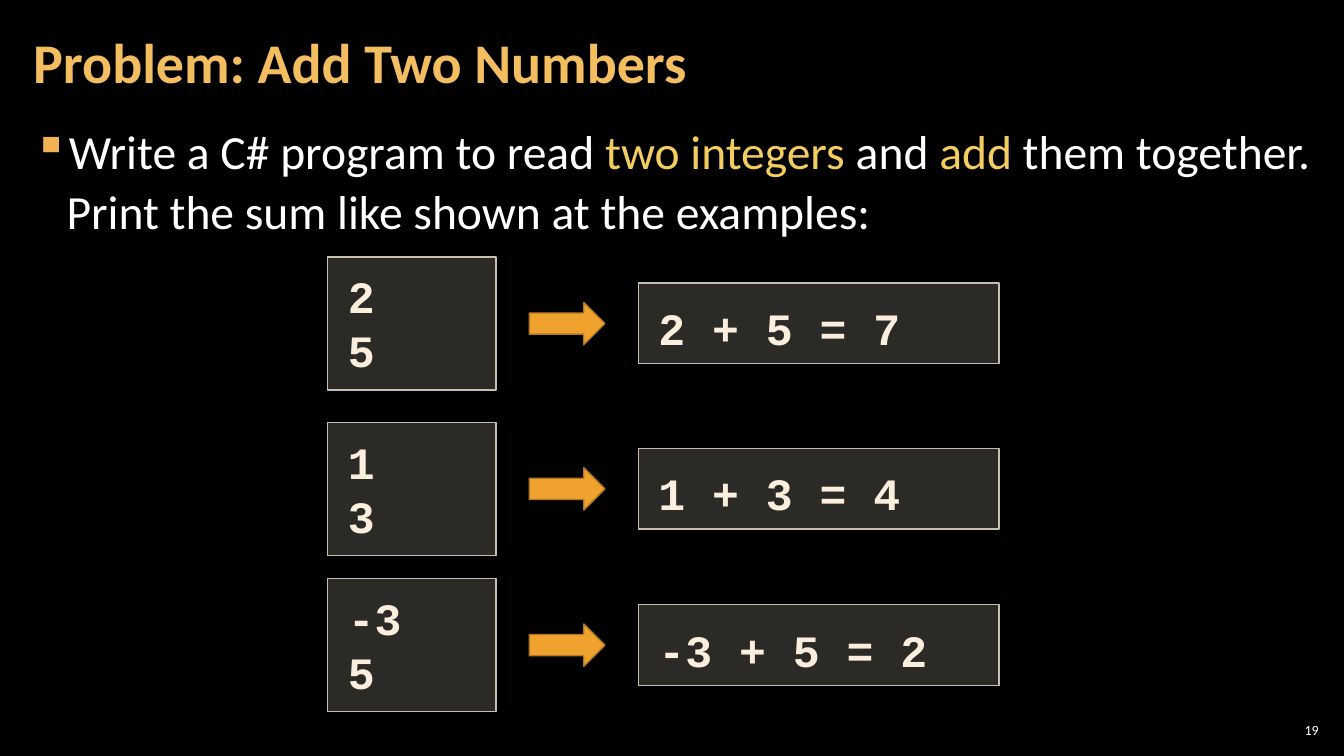
from lxml import etree
from pptx import Presentation
from pptx import util as u
from pptx.dml.color import RGBColor
from pptx.enum import shapes, text
from pptx.oxml.ns import qn

EMU_PER_PX = 9144  # 100 px to the inch


def px(n):
    return u.Emu(n * EMU_PER_PX)


def rgb(value):
    return RGBColor.from_string(value)


def sub(parent, tag, **attrs):
    return etree.SubElement(parent, qn(tag), attrs)


class Deck:
    SANS, MONO = "Calibri", "Courier New"
    WHITE, TITLE, ACCENT, BULLET = "FFFFFF", "F3BE60", "F3CD60", "F2B254"
    CODE, PANEL, PANEL_LINE = "FBEEDC", "D9D5C7", "C7BFAC"
    ARROW, ARROW_LINE = "F0A22E", "B27822"

    def __init__(self, width, height):
        self.prs = Presentation()
        self.prs.slide_width, self.prs.slide_height = px(width), px(height)
        self.s = self.prs.slides.add_slide(self.prs.slide_layouts[6])
        fill = self.s.background.fill
        fill.solid()
        fill.fore_color.rgb = rgb("000000")

    def frame(self, sp, paragraphs, size, font, inset, bold=False, frame_format=None, **fmt):
        """Fill a shape with paragraphs, each a list of (words, colour) runs."""
        tf = sp.text_frame
        across, down = inset
        settings = {"word_wrap": True, "margin_left": px(across), "margin_right": px(across),
                    "margin_top": px(down), "margin_bottom": px(down), **(frame_format or {})}
        for name, value in settings.items():
            setattr(tf, name, value)
        for i, runs in enumerate(paragraphs):
            p = tf.paragraphs[0] if i == 0 else tf.add_paragraph()
            for name, value in {"alignment": text.PP_ALIGN.LEFT, **fmt}.items():
                setattr(p, name, value)
            for words, color in runs:
                r = p.add_run()
                r.text = words
                for name, value in {"size": u.Pt(size), "name": font, "bold": bold}.items():
                    setattr(r.font, name, value)
                r.font.color.rgb = rgb(color)
        return tf

    def label(self, box, paragraphs, size, inset, anchor=text.MSO_ANCHOR.MIDDLE, **fmt):
        sp = self.s.shapes.add_textbox(*map(px, box))
        return self.frame(sp, paragraphs, size, self.SANS, inset,
                          frame_format={"vertical_anchor": anchor}, **fmt)

    def bullet(self, p, char, color, indent):
        pPr = p._p.get_or_add_pPr()
        pPr.set("marL", str(px(indent)))
        pPr.set("indent", str(-px(indent)))
        sub(sub(pPr, "a:buClr"), "a:srgbClr", val=color)
        sub(pPr, "a:buChar", char=char)

    def shape(self, kind, box, fill, line):
        sp = self.s.shapes.add_shape(kind, *map(px, box))
        sp.shadow.inherit = False
        sp.fill.solid()
        sp.fill.fore_color.rgb = rgb(fill)
        sp.line.color.rgb = rgb(line)
        sp.line.width = u.Pt(1)
        return sp

    def panel(self, box, lines, spacing=1.0):
        """Translucent box with lines of code."""
        sp = self.shape(shapes.MSO_SHAPE.RECTANGLE, box, self.PANEL, self.PANEL_LINE)
        color = sp._element.spPr.find(qn("a:solidFill")).find(qn("a:srgbClr"))
        sub(color, "a:alpha", val="20000")
        self.frame(sp, [[(line, self.CODE)] for line in lines], 32, self.MONO, (20, 12),
                   bold=True, line_spacing=spacing,
                   frame_format={"vertical_anchor": text.MSO_ANCHOR.TOP,
                                 "auto_size": text.MSO_AUTO_SIZE.SHAPE_TO_FIT_TEXT})

    def arrow(self, box):
        self.shape(shapes.MSO_SHAPE.RIGHT_ARROW, box, self.ARROW, self.ARROW_LINE)

    def example(self, top, inputs, result):
        """Input panel, arrow and output panel, centred on one row."""
        row_height = 132
        for left, width, height, draw in (
            (325, 167, row_height, lambda box: self.panel(box, inputs)),
            (633, 358, 80, lambda box: self.panel(box, [result], 1.1)),
            (525, 75, 42, self.arrow),
        ):
            draw((left, top + (row_height - height) // 2, width, height))


def main():
    d = Deck(1333, 750)
    d.label((1265, 714, 47, 21), [[("19", d.WHITE)]], 10, (4, 4),
            alignment=text.PP_ALIGN.RIGHT)
    task = [("Write a C# program to read ", d.WHITE), ("two integers", d.ACCENT),
            (" and ", d.WHITE), ("add", d.ACCENT),
            (" them together. Print the sum like shown at the examples:", d.WHITE)]
    tf = d.label((21, 114, 1291, 609), [task], 34, (12, 4), text.MSO_ANCHOR.TOP,
                 line_spacing=1.05, space_before=u.Pt(6), space_after=u.Pt(6))
    d.bullet(tf.paragraphs[0], "▪", d.BULLET, 33)
    d.label((21, 4, 1047, 121), [[("Problem: Add Two Numbers", d.TITLE)]], 40, (12, 4),
            bold=True, line_spacing=0.9)
    for top, a, b in ((255, 2, 5), (419, 1, 3), (574, -3, 5)):
        d.example(top, [str(a), str(b)], f"{a} + {b} = {a + b}")
    d.prs.save("out.pptx")


if __name__ == "__main__":
    main()
